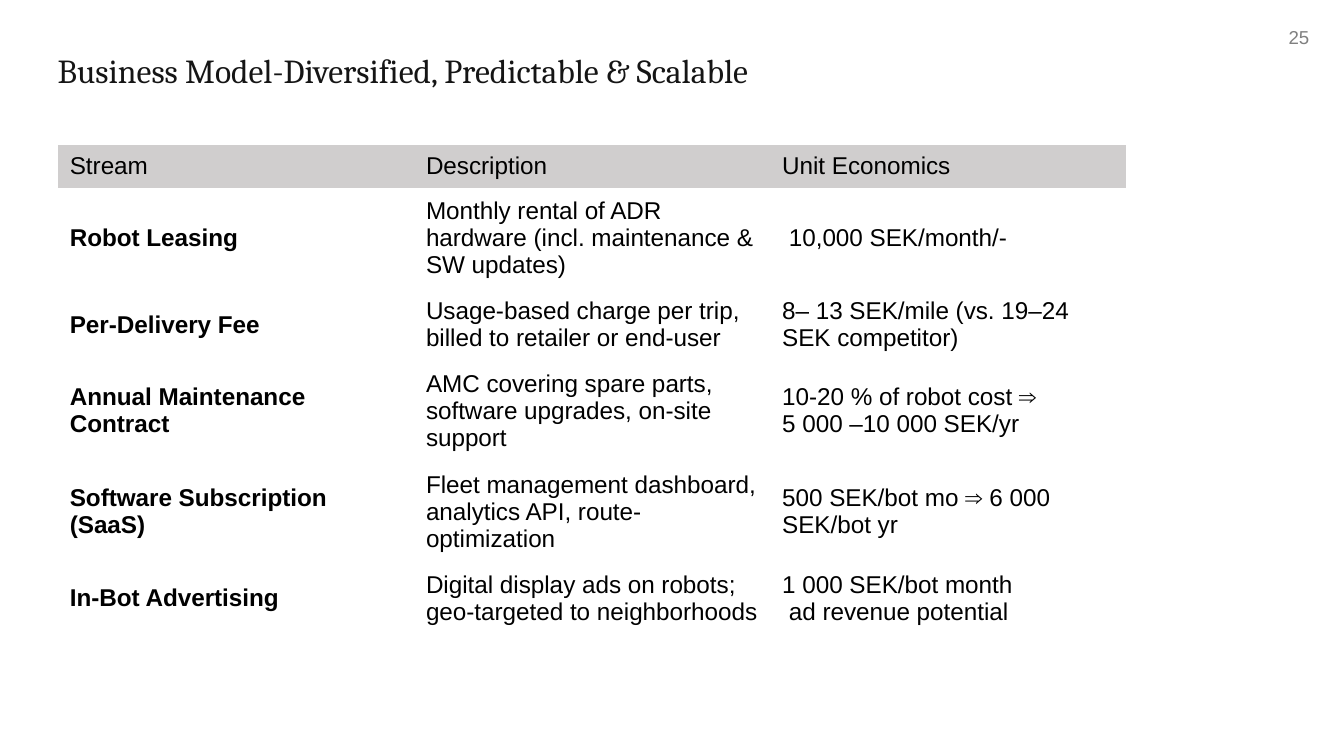
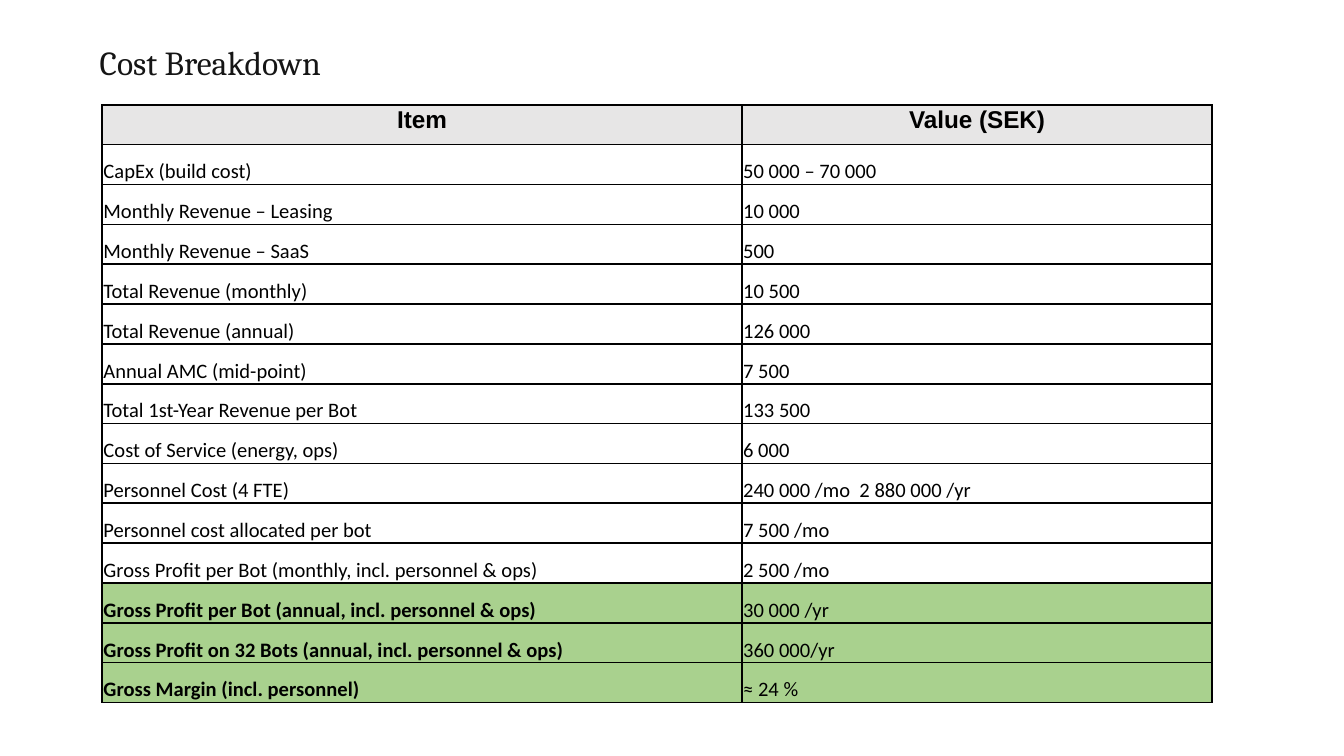
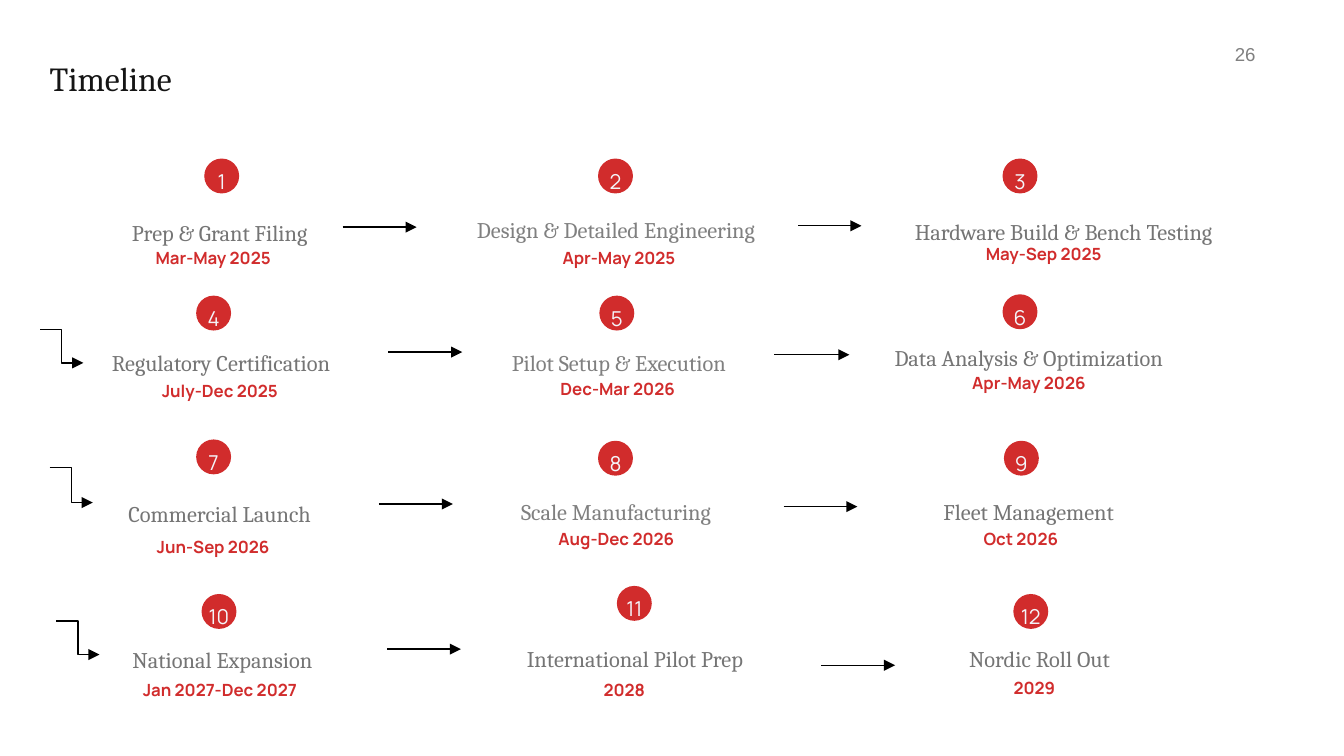
from dataclasses import dataclass
from typing import Optional

import pptx
import pptx.dml.color
import pptx.enum.shapes
import pptx.enum.text
import pptx.oxml
import pptx.oxml.ns
import pptx.util

PX = 9144  # EMU per px, 100 px to the inch
SLIDE_W = 1000
NO_TABLE_STYLE = "{2D5ABB26-0587-4C30-8999-92F81FD0307C}"
Align = pptx.enum.text.PP_ALIGN
Anchor = pptx.enum.text.MSO_ANCHOR
Connector = pptx.enum.shapes.MSO_CONNECTOR


@dataclass(frozen=True)
class TextStyle:
    font: str
    size: int
    color: str
    bold: bool = False
    align: Align = Align.LEFT
    spacing: Optional[float] = None


@dataclass(frozen=True)
class Theme:
    ink: str = "000000"
    red: str = "D12C2C"
    stream_head: str = "D0CECE"
    cost_head: str = "E7E6E6"
    result: str = "A9D18E"
    line_width: float = 0.75
    border_width: float = 1
    title: TextStyle = TextStyle("Cambria", 18, "151515", spacing=1.5)
    title_centred: TextStyle = TextStyle("Cambria", 18, "151515", align=Align.CENTER, spacing=1.5)
    page: TextStyle = TextStyle("Arial", 10, "808080")
    stream: TextStyle = TextStyle("Arial", 13, "000000")
    stream_name: TextStyle = TextStyle("Arial", 13, "000000", bold=True)
    cost_title: TextStyle = TextStyle("Arial", 13, "000000", bold=True, align=Align.CENTER)
    cost: TextStyle = TextStyle("Calibri", 11, "000000")
    cost_result: TextStyle = TextStyle("Calibri", 11, "000000", bold=True)
    number: TextStyle = TextStyle("Manrope", 11, "F4F5FA", align=Align.CENTER, spacing=1.43)
    step: TextStyle = TextStyle("Cambria", 12, "757575", align=Align.CENTER, spacing=1.5)
    step_soft: TextStyle = TextStyle("Cambria", 12, "808080", align=Align.CENTER, spacing=1.5)
    date: TextStyle = TextStyle("Manrope", 9, "D12C2C", bold=True, align=Align.CENTER, spacing=1.5)


THEME = Theme()


@dataclass(frozen=True)
class Step:
    """A milestone with the top left corners of its dot, name and date."""
    name: str
    date: str
    dot_at: tuple[int, int]
    name_at: tuple[int, int]
    date_at: tuple[int, int]
    style: TextStyle = THEME.step


@dataclass(frozen=True)
class Arrow:
    x1: int
    y1: int
    x2: int
    y2: int
    kind: Connector = Connector.STRAIGHT


STREAMS = [
    ("Stream", "Description", "Unit Economics"),
    ("Robot Leasing", "Monthly rental of ADR hardware (incl. maintenance & SW updates)",
     " 10,000 SEK/month/-"),
    ("Per-Delivery Fee", "Usage-based charge per trip, billed to retailer or end-user",
     "8– 13 SEK/mile (vs. 19–24 SEK competitor)"),
    ("Annual Maintenance Contract", "AMC covering spare parts, software upgrades, on-site support",
     "10-20 % of robot cost ⇒\n5 000 –10 000 SEK/yr"),
    ("Software Subscription (SaaS)", "Fleet management dashboard, analytics API, route-optimization",
     "500 SEK/bot mo ⇒ 6 000 SEK/bot yr"),
    ("In-Bot Advertising", "Digital display ads on robots; geo-targeted to neighborhoods",
     "1 000 SEK/bot month\n ad revenue potential"),
]
STREAM_HEIGHTS = [31, 74, 52, 74, 74, 52]

COSTS = [
    ("Item", "Value (SEK)"),
    ("CapEx (build cost)", "50 000 – 70 000"),
    ("Monthly Revenue – Leasing", "10 000"),
    ("Monthly Revenue – SaaS", "500"),
    ("Total Revenue (monthly)", "10 500"),
    ("Total Revenue (annual)", "126 000"),
    ("Annual AMC (mid-point)", "7 500"),
    ("Total 1st-Year Revenue per Bot", "133 500"),
    ("Cost of Service (energy, ops)", "6 000"),
    ("Personnel Cost (4 FTE)", "240 000 /mo  2 880 000 /yr"),
    ("Personnel cost allocated per bot", "7 500 /mo"),
    ("Gross Profit per Bot (monthly, incl. personnel & ops)", "2 500 /mo"),
    ("Gross Profit per Bot (annual, incl. personnel & ops)", "30 000 /yr"),
    ("Gross Profit on 32 Bots (annual, incl. personnel & ops)", "360 000/yr"),
    ("Gross Margin (incl. personnel)", "≈ 24 %"),
]
RESULT_ROWS = 3

STEPS = [
    Step("Prep & Grant Filing", "Mar-May 2025", (152, 118), (28, 153), (23, 177)),
    Step("Design & Detailed Engineering", "Apr-May 2025", (445, 118), (323, 151), (325, 177),
         THEME.step_soft),
    Step("Hardware Build & Bench Testing", "May-Sep 2025", (746, 118), (656, 152), (641, 174)),
    Step("Regulatory Certification", "July-Dec 2025", (146, 220), (29, 250), (28, 276)),
    Step("Pilot Setup & Execution", "Dec-Mar 2026", (446, 220), (325, 250), (324, 274),
         THEME.step_soft),
    Step("Data Analysis & Optimization", "Apr-May 2026", (746, 219), (630, 246), (630, 270)),
    Step("Commercial Launch", "Jun-Sep 2026", (146, 327), (28, 362), (23, 392)),
    Step("Scale Manufacturing", "Aug-Dec 2026", (445, 328), (323, 361), (323, 386),
         THEME.step_soft),
    Step("Fleet Management", "Oct 2026", (747, 328), (630, 361), (624, 386)),
    Step("National Expansion", "Jan 2027-Dec 2027", (150, 442), (30, 471), (28, 498)),
    Step("International Pilot Prep", "2028", (459, 436), (337, 470), (329, 498)),
    Step("Nordic Roll Out", "2029", (754, 442), (638, 470), (634, 497)),
]
DOT, STEP_W, NAME_H, DATE_H = 26, 271, 25, 19

ARROWS = [
    Arrow(255, 169, 310, 169),
    Arrow(594, 168, 641, 168),
    Arrow(289, 262, 344, 262),
    Arrow(576, 264, 632, 264),
    Arrow(282, 375, 337, 375),
    Arrow(583, 377, 638, 377),
    Arrow(288, 483, 343, 483),
    Arrow(611, 495, 666, 495),
    Arrow(30, 245, 62, 270, Connector.ELBOW),
    Arrow(37, 348, 69, 374, Connector.ELBOW),
    Arrow(42, 462, 74, 487, Connector.ELBOW),
]


def emu(*lengths: int) -> list[pptx.util.Emu]:
    return [pptx.util.Emu(n * PX) for n in lengths]


def rgb(color: str) -> pptx.dml.color.RGBColor:
    return pptx.dml.color.RGBColor.from_string(color)


def set_margins(target, across: int, top: int, bottom: int) -> None:
    """Set the insets of a text frame or table cell."""
    margins = {"margin_left": across, "margin_right": across,
               "margin_top": top, "margin_bottom": bottom}
    for name, value in margins.items():
        setattr(target, name, value * PX)


def write(tf, text: str, style: TextStyle) -> None:
    """Fill a text frame, one paragraph for each line of text."""
    tf.text = text
    font_values = {"name": style.font, "size": pptx.util.Pt(style.size), "bold": style.bold}
    for p in tf.paragraphs:
        p.alignment = style.align
        p.line_spacing = style.spacing
        for r in p.runs:
            for name, value in font_values.items():
                setattr(r.font, name, value)
            r.font.color.rgb = rgb(style.color)


def add_text(s, box: tuple[int, int, int, int], text: str, style: TextStyle):
    tf = s.shapes.add_textbox(*emu(*box)).text_frame
    tf.word_wrap = True
    set_margins(tf, 0, 0, 0)
    write(tf, text, style)
    return tf


def add_title(s, x: int, y: int, text: str, style: TextStyle = THEME.title) -> None:
    add_text(s, (x, y, 667, 38), text, style)


def add_page_number(s, x: int, y: int, number: int) -> None:
    tf = add_text(s, (x, y, 46, 27), str(number), THEME.page)
    set_margins(tf, 10, 5, 5)
    tf.auto_size = pptx.enum.text.MSO_AUTO_SIZE.SHAPE_TO_FIT_TEXT


def add_grid(s, x: int, y: int, widths: list[int], height: int, row_count: int):
    """Add an unstyled table with rows of equal height."""
    frame = s.shapes.add_table(row_count, len(widths), *emu(x, y, sum(widths), height))
    table = frame.table
    table.first_row = table.horz_banding = False
    table._tbl.tblPr.find(pptx.oxml.ns.qn("a:tableStyleId")).text = NO_TABLE_STYLE
    for column, width in zip(table.columns, widths):
        column.width = pptx.util.Emu(width * PX)
    return table


def fill_cell(cell, text: str, style: TextStyle, fill: Optional[str], anchor: Anchor) -> None:
    write(cell.text_frame, text, style)
    cell.vertical_anchor = anchor
    if fill:
        cell.fill.solid()
        cell.fill.fore_color.rgb = rgb(fill)
    else:
        cell.fill.background()


def border_cell(cell) -> None:
    tc_pr = cell._tc.get_or_add_tcPr()
    width = pptx.util.Pt(THEME.border_width)
    for i, side in enumerate("LRTB"):
        tc_pr.insert(i, pptx.oxml.parse_xml(
            f'<a:ln{side} {pptx.oxml.ns.nsdecls("a")} w="{width}"><a:solidFill>'
            f'<a:srgbClr val="{THEME.ink}"/></a:solidFill></a:ln{side}>'))


def add_step(s, number: int, step: Step) -> None:
    dot = s.shapes.add_shape(pptx.enum.shapes.MSO_SHAPE.OVAL, *emu(*step.dot_at, DOT, DOT))
    dot.shadow.inherit = False
    dot.fill.solid()
    dot.fill.fore_color.rgb = rgb(THEME.red)
    dot.line.fill.background()
    tf = dot.text_frame
    tf.vertical_anchor = Anchor.MIDDLE
    set_margins(tf, 1, 3, 3)
    write(tf, str(number), THEME.number)
    add_text(s, (*step.name_at, STEP_W, NAME_H), step.name, step.style)
    add_text(s, (*step.date_at, STEP_W, DATE_H), step.date, THEME.date)


def add_arrow(s, arrow: Arrow) -> None:
    c = s.shapes.add_connector(arrow.kind, *emu(arrow.x1, arrow.y1, arrow.x2, arrow.y2))
    c.line.color.rgb = rgb(THEME.ink)
    c.line.width = pptx.util.Pt(THEME.line_width)
    ns = pptx.oxml.ns.nsdecls("a")
    c.line._get_or_add_ln().append(pptx.oxml.parse_xml(f'<a:tailEnd {ns} type="triangle"/>'))
    c._element.spPr.append(pptx.oxml.parse_xml(f"<a:effectLst {ns}/>"))


def build_business_model(s) -> None:
    add_title(s, 43, 22, "Business Model-Diversified, Predictable & Scalable")
    add_page_number(s, 949, 14, 25)
    table = add_grid(s, 43, 108, [265] * 3, sum(STREAM_HEIGHTS), len(STREAMS))
    for i, (row, texts) in enumerate(zip(table.rows, STREAMS)):
        row.height = pptx.util.Emu(STREAM_HEIGHTS[i] * PX)
        for j, (cell, text) in enumerate(zip(row.cells, texts)):
            style = THEME.stream_name if i and j == 0 else THEME.stream
            fill_cell(cell, text, style, None if i else THEME.stream_head, Anchor.MIDDLE)
            set_margins(cell, 9, 5, 5)


def build_cost_breakdown(s) -> None:
    add_title(s, -177, 16, "Cost Breakdown", THEME.title_centred)
    table = add_grid(s, 76, 78, [476, 350], 445, len(COSTS))
    for i, (row, texts) in enumerate(zip(table.rows, COSTS)):
        is_result = i >= len(COSTS) - RESULT_ROWS
        for j, (cell, text) in enumerate(zip(row.cells, texts)):
            if i == 0:
                fill_cell(cell, text, THEME.cost_title, THEME.cost_head, Anchor.TOP)
            else:
                style = THEME.cost_result if is_result and j == 0 else THEME.cost
                fill_cell(cell, text, style, THEME.result if is_result else None, Anchor.BOTTOM)
            set_margins(cell, 1, 1, 0)
            border_cell(cell)


def build_timeline(s) -> None:
    add_title(s, 37, 28, "Timeline")
    add_page_number(s, 909, 27, 26)
    for number, step in enumerate(STEPS, 1):
        add_step(s, number, step)
    for arrow in ARROWS:
        add_arrow(s, arrow)


def main() -> None:
    prs = pptx.Presentation()
    prs.slide_width = pptx.util.Emu(SLIDE_W * PX)
    prs.slide_height = pptx.util.Emu(prs.slide_width * 9 // 16)
    for build in (build_business_model, build_cost_breakdown, build_timeline):
        build(prs.slides.add_slide(prs.slide_layouts[6]))
    prs.save("out.pptx")


if __name__ == "__main__":
    main()
